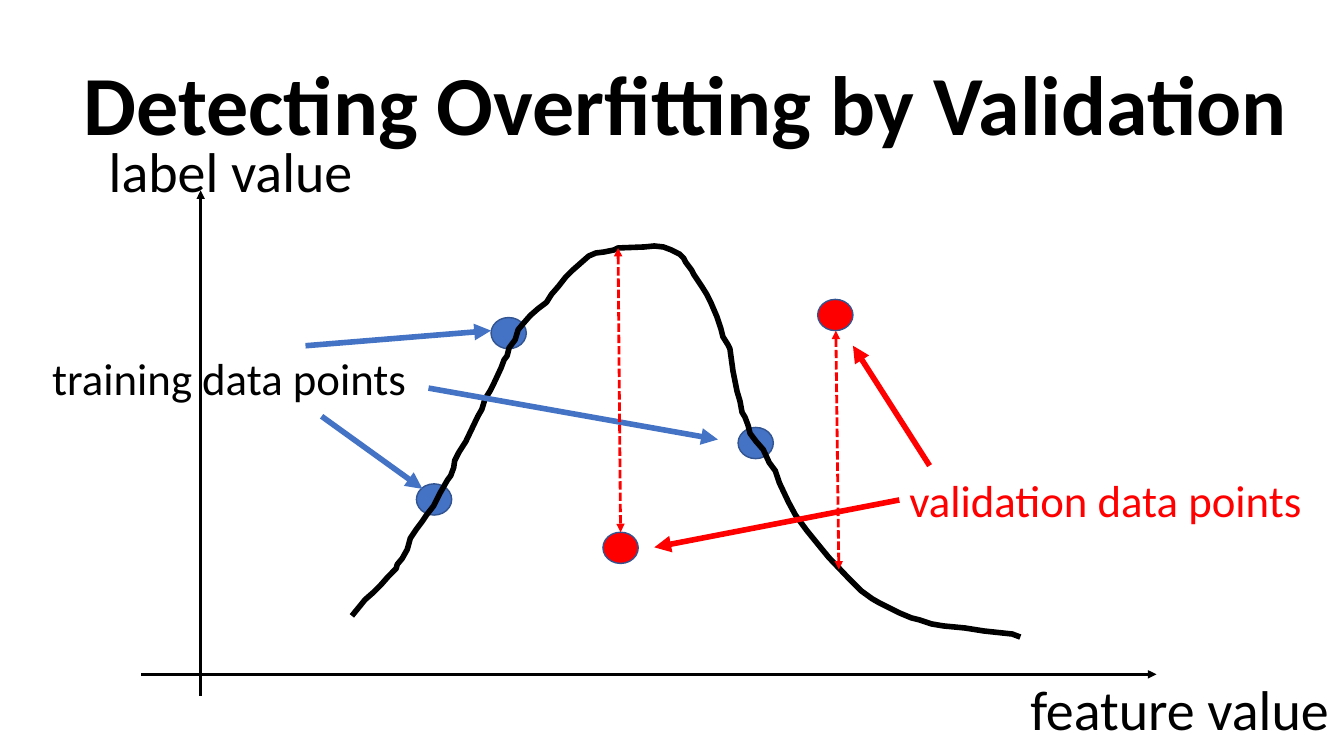
from lxml.etree import SubElement as Sub
from pptx import Presentation
from pptx.dml.color import RGBColor as Rgb
from pptx.enum.dml import MSO_LINE_DASH_STYLE as Dash
from pptx.enum.shapes import MSO_CONNECTOR as Con, MSO_SHAPE as Shp
from pptx.enum.text import MSO_ANCHOR as Anc, MSO_AUTO_SIZE as Fit, PP_ALIGN as Al
from pptx.oxml.ns import qn
from pptx.util import Inches, Pt

BLACK, BLUE, RED, EDGE = "000000", "4472C4", "FF0000", "325491"
CURVE = [
    (34.9, 61.1), (35.8, 60), (36.2, 59.5), (37, 58.8), (37.8, 58),
    (38.5, 57.2), (39.3, 56.4), (39.4, 56), (39.9, 55.4), (40.4, 54.5),
    (40.7, 53.4), (41.3, 52.5), (41.9, 51.7), (42.3, 51.1), (43, 50.2),
    (43.6, 49), (44.4, 47.6), (44.7, 47.2), (45, 46.4), (45.1, 45.7),
    (45.5, 44.9), (46.2, 43.8), (47.4, 41.3), (47.8, 40.6), (48.1, 39.6),
    (48.6, 38.8), (49, 38), (49.7, 36.5), (50, 35.7), (50.3, 35.3),
    (50.5, 34.5), (51.1, 33.7), (51.4, 32.7), (51.9, 32.1), (52.6, 31.3),
    (53.4, 30.6), (54.2, 30), (54.7, 29.2), (55.4, 28.4), (56.1, 27.5),
    (56.8, 26.8), (57.6, 26.1), (58.4, 25.4), (59.1, 25.1), (59.9, 25),
    (60.9, 24.8), (61.3, 24.6), (63.9, 24.5), (64.9, 24.4), (65.8, 24.5),
    (66.6, 24.8), (67.4, 25.2), (67.8, 25.6), (68, 26), (68.6, 26.8),
    (68.8, 27.2), (69.6, 28.4), (70.1, 29.2), (70.5, 30), (71.1, 31.4),
    (71.5, 32.6), (71.7, 33.4), (72.2, 34.2), (72.4, 34.6), (72.7, 36.8),
    (73.1, 38.8), (73.4, 39.8), (73.6, 40.9), (73.9, 41.4), (74.2, 42.2),
    (74.4, 43), (75, 43.8), (75.7, 44.6), (76.3, 45.9), (76.9, 46.7),
    (77.3, 47.9), (78.2, 49.8), (78.9, 51.1), (80, 52.6), (81.3, 54.2),
    (82.2, 55.3), (84.3, 57.5), (85.4, 58.6), (86.5, 59.4), (87.2, 59.8),
    (88, 60.2), (89.2, 60.8), (90.4, 61.3), (91.2, 61.5), (92.4, 61.9),
    (93.6, 62.1), (95.7, 62.3), (97.6, 62.6), (100.4, 62.9), (101.2, 63.2),
]


def hue(code):
    """Turn a hex string into a colour."""
    return Rgb.from_string(code)


def cell(*nums):
    """Turn counts of tenth-inch grid cells into lengths."""
    return [Inches(n / 10) for n in nums]


class Board:
    """The current slide and the style of what is put on it."""

    font = "Calibri"

    def __init__(self, deck):
        """Add a title-only slide to the deck."""
        self.page = deck.slides.add_slide(deck.slide_layouts[5])
        self.shapes = self.page.shapes

    def ink(self, frame, text, size, tint, bold=False):
        """Add one run of styled text to a frame."""
        para = frame.paragraphs[0]
        para.alignment = Al.LEFT
        run = para.add_run()
        run.text = text
        run.font.name, run.font.size, run.font.bold = self.font, Pt(size), bold
        run.font.color.rgb = hue(tint)
        return para

    def title(self, text, *box):
        """Place and fill the title."""
        head = self.shapes.title
        head.left, head.top, head.width, head.height = cell(*box)
        frame = head.text_frame
        frame.word_wrap, frame.auto_size = True, Fit.NONE
        frame.vertical_anchor = Anc.MIDDLE
        self.ink(frame, text, 60, BLACK, True).line_spacing = 0.9

    def label(self, text, size, tint, *box):
        """Add a one-line text box."""
        note = self.shapes.add_textbox(*cell(*box))
        frame = note.text_frame
        frame.word_wrap, frame.auto_size = False, Fit.SHAPE_TO_FIT_TEXT
        self.ink(frame, text, size, tint)
        return note

    def dot(self, tint, x, y):
        """Add a data point."""
        spot = self.shapes.add_shape(Shp.OVAL, *cell(x, y, 3.5, 3.1))
        spot.shadow.inherit = False
        spot.fill.solid()
        spot.fill.fore_color.rgb = hue(tint)
        spot.line.color.rgb, spot.line.width = hue(EDGE), Pt(1)
        return spot

    def curve(self, points):
        """Draw the open fitted curve."""
        spots = [cell(*p) for p in points]
        pen = self.shapes.build_freeform(*spots[0])
        pen.add_line_segments(spots[1:], close=False)
        bend = pen.convert_to_shape()
        bend.shadow.inherit = False
        bend.fill.background()
        bend.line.color.rgb, bend.line.width = hue(BLACK), Pt(4)

    def arrow(self, tint, width, *ends, both=False):
        """Add an arrow, or a dashed one with two heads."""
        link = self.shapes.add_connector(Con.STRAIGHT, *cell(*ends))
        link.line.color.rgb, link.line.width = hue(tint), Pt(width)
        if both:
            link.line.dash_style = Dash.SQUARE_DOT
        props = link._element.spPr
        for tip in ("a:headEnd", "a:tailEnd")[0 if both else 1:]:
            Sub(props.find(qn("a:ln")), qn(tip), type="triangle")
        Sub(props, qn("a:effectLst"))
        return link


def main():
    """Build and save the slide."""
    deck = Presentation()
    deck.slide_width, deck.slide_height = Inches(13.33), Inches(7.5)
    board = Board(deck)
    board.title("Detecting Overfitting by Validation", 7.3, 3.5, 121.5, 14.5)

    for spot in ((41.3, 48), (48.7, 31.5), (73.2, 42.4)):
        board.dot(BLUE, *spot)
    board.dot(RED, 81.1, 29.7)
    low = board.dot(RED, 59.8, 52.8)
    board.curve(CURVE)

    valid = board.label("validation data points", 32, RED, 89.2, 46.4, 41.4, 6.4)
    board.label("training data points", 32, BLACK, 4.2, 34.3, 37.6, 6.4)
    for ends in ((30.3, 34.3, 48.7, 32.8), (42.5, 38.5, 71.2, 43.6),
                 (31.9, 41.3, 41.9, 48.5)):
        board.arrow(BLUE, 4, *ends)
    board.arrow(RED, 4, 92.2, 46.2, 84.6, 34.3)
    board.arrow(RED, 4, 89.2, 49.6, 64.9, 54.3).begin_connect(valid, 1)

    board.arrow(BLACK, 2, 19.9, 69, 19.9, 18.9)
    board.label("label value", 40, BLACK, 9.8, 13.1, 26.4, 7.7)
    board.arrow(BLACK, 2, 14, 66.9, 114.7, 66.9)
    board.label("feature value", 40, BLACK, 101.2, 66.4, 31.9, 7.7)

    board.arrow(RED, 2, 61.3, 24.6, 61.5, 52.8, both=True).end_connect(low, 0)
    board.arrow(RED, 2, 82.9, 32.8, 83.2, 56.5, both=True)
    deck.save("out.pptx")


if __name__ == "__main__":
    main()
